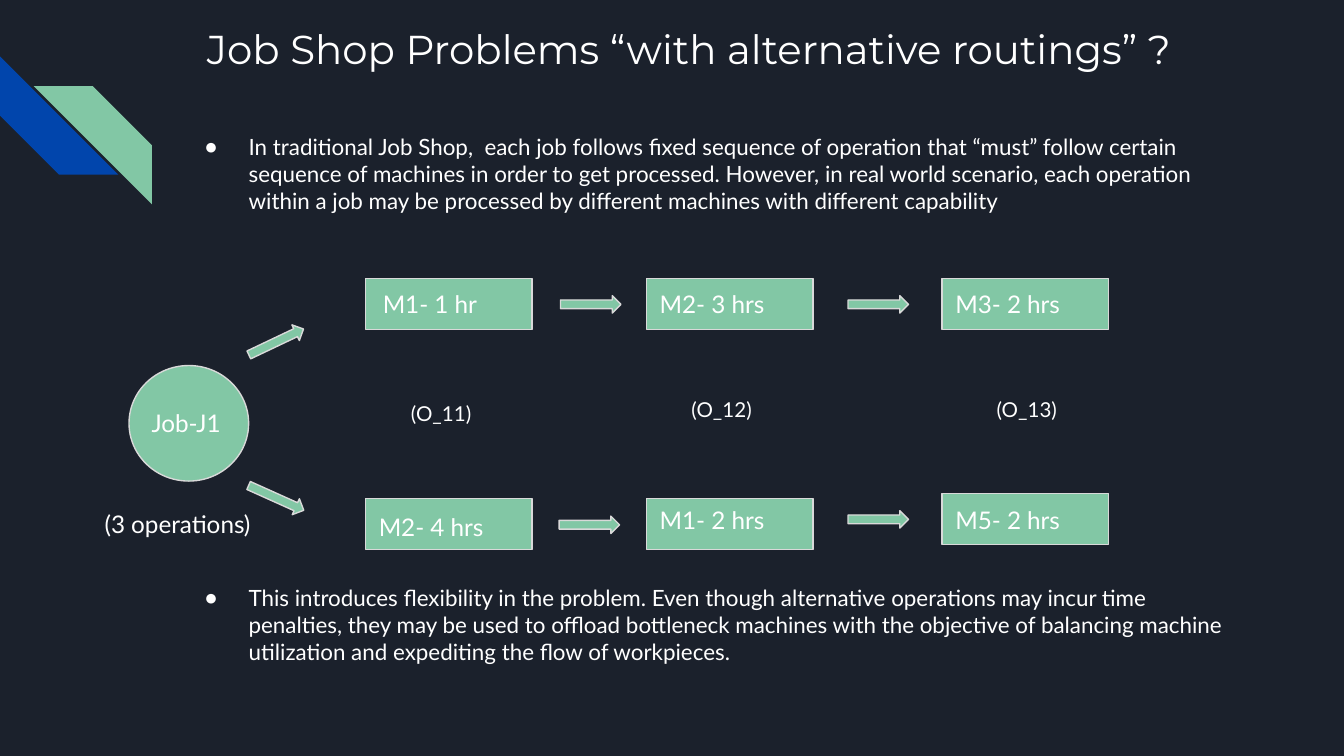
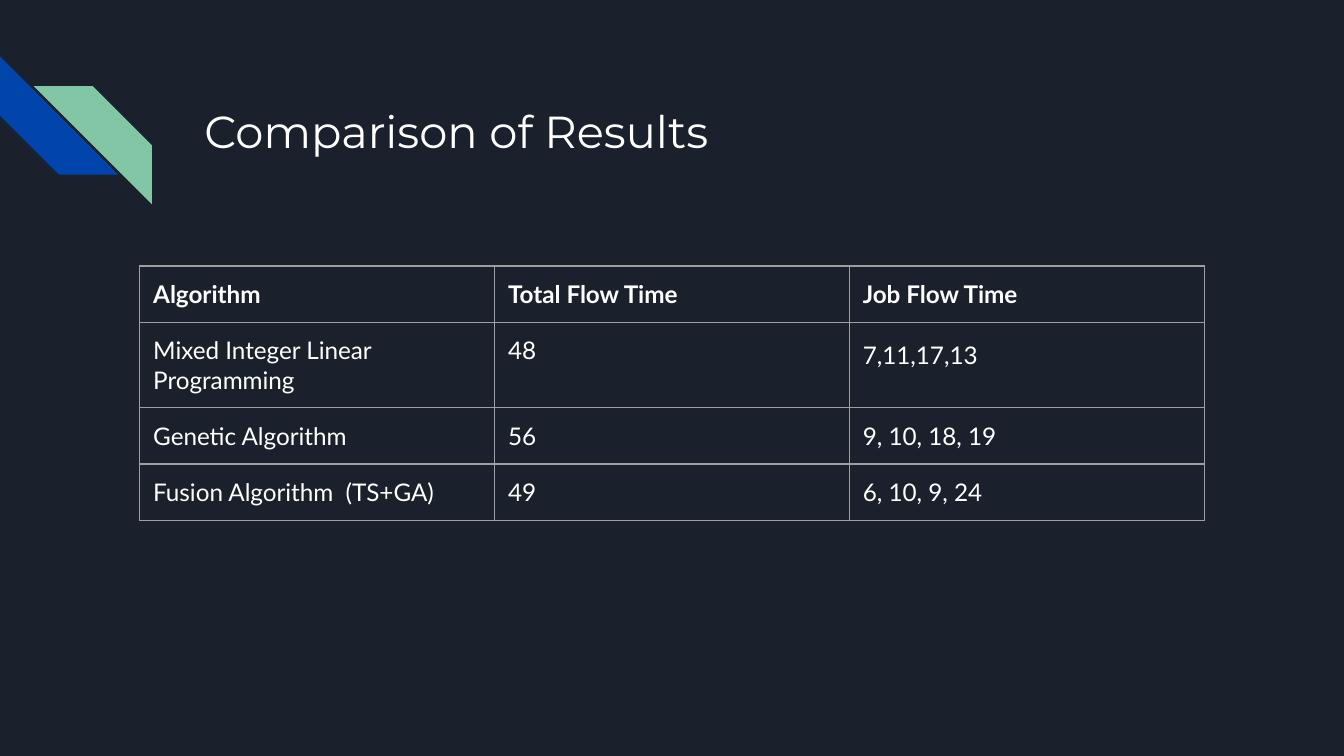
import pptx
import pptx.dml.color
import pptx.enum.shapes
import pptx.enum.text
import pptx.oxml
import pptx.oxml.ns
import pptx.util
from dataclasses import dataclass

Inches = pptx.util.Inches
Pt = pptx.util.Pt
SHAPE = pptx.enum.shapes.MSO_SHAPE
ALIGN = pptx.enum.text.PP_ALIGN
ANCHOR = pptx.enum.text.MSO_ANCHOR
FIT = pptx.enum.text.MSO_AUTO_SIZE

# Widescreen page, 16:9
PAGE_WIDTH = 10
PAGE_HEIGHT = PAGE_WIDTH * 9 / 16


@dataclass(frozen=True)
class Theme:
    background: str = "1B212C"
    text: str = "FFFFFF"
    green: str = "82C7A5"
    blue: str = "0145AC"
    outline: str = "D9D9D9"
    grid: str = "9E9E9E"
    title_font: str = "Montserrat"
    body_font: str = "Lato"
    body_size: float = 12
    label_size: float = 13
    note_size: float = 11
    line_width: float = 0.75
    inset: float = 0.1


THEME = Theme()

# Content: routing slide
ROUTING_TITLE = "Job Shop Problems “with alternative routings” ?"
ROUTING_POINTS = [
    "In traditional Job Shop,  each job follows fixed sequence of operation that “must” "
    "follow certain sequence of machines in order to get processed. However, in real world "
    "scenario, each operation within a job may be processed by different machines with "
    "different capability",
    "This introduces flexibility in the problem. Even though alternative operations may "
    "incur time penalties, they may be used to offload bottleneck machines with the "
    "objective of balancing machine utilization and expediting the flow of workpieces.",
]
DIAGRAM_GAP = 198.5  # points left between the two bullets

MACHINE_SIZE = (1.24, 0.38)
# Label, box left, box top, label left, label top
MACHINES = [
    ("M1- 1 hr", 2.72, 2.07, 2.75, 2.05),
    ("M2- 3 hrs", 4.81, 2.07, 4.81, 2.05),
    ("M3- 2 hrs", 7.01, 2.07, 7.01, 2.05),
    ("M2- 4 hrs", 2.72, 3.71, 2.72, 3.71),
    ("M1- 2 hrs", 4.81, 3.71, 4.81, 3.66),
    ("M5- 2 hrs", 7.01, 3.67, 7.01, 3.66),
]
JOB_CIRCLE = (0.96, 2.72, 0.89, 0.86)
ARROW_SIZE = (0.45, 0.13)
# Left, top, rotation
ARROWS = [
    (1.83, 2.48, 334.6), (1.83, 3.64, 24.2),
    (4.17, 2.2, 0), (4.16, 3.84, 0.1),
    (6.31, 2.2, 0), (6.31, 3.8, 0),
]
JOB_LABELS = [
    ("Job-J1", (1.03, 2.94, 0.76, 0.42)),
    ("(3 operations)", (0.68, 3.69, 1.33, 0.42)),
]
OPERATIONS = [
    ("(O_11)", (2.96, 2.89, 0.76, 0.39), ALIGN.LEFT),
    ("(O_12)", (4.75, 2.86, 1.24, 0.39), ALIGN.CENTER),
    ("(O_13)", (6, 2.86, 3.28, 0.39), ALIGN.CENTER),
]

# Content: results slide
RESULTS_TITLE = "Comparison of Results"
RESULTS = [
    ("Algorithm", "Total Flow Time", "Job Flow Time"),
    ("Mixed Integer Linear Programming", "48", "7,11,17,13"),
    ("Genetic Algorithm", "56", "9, 10, 18, 19"),
    ("Fusion Algorithm  (TS+GA)", "49", "6, 10, 9, 24"),
]
ROW_HEIGHTS = (0.42, 0.63, 0.42, 0.42)
COLUMN_WIDTH = 2.64


# Helpers
def color(value):
    return pptx.dml.color.RGBColor.from_string(value)


def place(shape, area):
    shape.left, shape.top, shape.width, shape.height = map(Inches, area)


def set_insets(holder):
    for side in ("left", "top", "right", "bottom"):
        setattr(holder, "margin_" + side, Inches(THEME.inset))


def style_text(frame, size, font=THEME.body_font, align=ALIGN.LEFT, bold=False):
    for para in frame.paragraphs:
        para.alignment = align
        for span in para.runs:
            span.font.name = font
            span.font.size = Pt(size)
            span.font.bold = bold
            span.font.color.rgb = color(THEME.text)


def prepare_frame(frame, fit):
    frame.word_wrap = True
    frame.auto_size = fit
    frame.vertical_anchor = ANCHOR.TOP
    set_insets(frame)


def add_figure(page, kind, area, fill=THEME.green, outlined=True, rotation=0):
    shape = page.shapes.add_shape(kind, *map(Inches, area))
    shape.shadow.inherit = False
    shape.rotation = rotation
    shape.fill.solid()
    shape.fill.fore_color.rgb = color(fill)
    if outlined:
        shape.line.color.rgb = color(THEME.outline)
        shape.line.width = Pt(THEME.line_width)
    else:
        shape.line.fill.background()
    return shape


def add_label(page, text, area, size=THEME.label_size, align=ALIGN.LEFT):
    box = page.shapes.add_textbox(*map(Inches, area))
    prepare_frame(box.text_frame, FIT.SHAPE_TO_FIT_TEXT)
    box.text_frame.text = text
    style_text(box.text_frame, size, align=align)


def set_title(page, text, area, size):
    title = page.shapes.title
    place(title, area)
    prepare_frame(title.text_frame, FIT.NONE)
    title.text_frame.text = text
    style_text(title.text_frame, size, THEME.title_font)


def add_bullet(para):
    properties = para._p.get_or_add_pPr()
    properties.set("marL", str(Inches(0.5)))
    properties.set("indent", str(Inches(-0.33)))
    mark = pptx.oxml.parse_xml(
        f'<a:buChar {pptx.oxml.ns.nsdecls("a")} char="●"/>')
    properties.append(mark)


def add_borders(cell):
    properties = cell._tc.get_or_add_tcPr()
    for index, side in enumerate(("lnL", "lnR", "lnT", "lnB")):
        border = pptx.oxml.parse_xml(
            f'<a:{side} {pptx.oxml.ns.nsdecls("a")} w="{Pt(THEME.line_width)}">'
            f'<a:solidFill><a:srgbClr val="{THEME.grid}"/></a:solidFill></a:{side}>')
        properties.insert(index, border)


def dress_master(deck, page):
    """Give the master the background and the two corner stripes."""
    master = deck.slide_master
    master.background.fill.solid()
    master.background.fill.fore_color.rgb = color(THEME.background)
    blue = add_figure(page, SHAPE.DIAGONAL_STRIPE, (0, 0.42, 0.88, 0.88),
                      THEME.blue, outlined=False, rotation=270)
    green = add_figure(page, SHAPE.DIAGONAL_STRIPE, (0.25, 0.64, 0.88, 0.88),
                       outlined=False)
    green.element.spPr.xfrm.set("flipH", "1")
    for index, stripe in enumerate((blue, green)):
        stripe.element.nvSpPr.cNvPr.set("id", str(20 + index))
        master.shapes.element.insert(2 + index, stripe.element)


# Slides
def build_routing(page):
    set_title(page, ROUTING_TITLE, (1.44, 0.08, 7.7, 1), 21.6)

    # Bullets above and below the diagram
    body = page.placeholders[1]
    place(body, (1.25, 0.89, 7.96, 4.38))
    prepare_frame(body.text_frame, FIT.NONE)
    body.text_frame.text = "\n".join(ROUTING_POINTS)
    style_text(body.text_frame, THEME.body_size)
    for para, gap in zip(body.text_frame.paragraphs, (0, DIAGRAM_GAP)):
        para.space_before = Pt(gap)
        add_bullet(para)

    # Job, machines and arrows
    add_figure(page, SHAPE.OVAL, JOB_CIRCLE)
    for _, left, top, _, _ in MACHINES:
        add_figure(page, SHAPE.RECTANGLE, (left, top, *MACHINE_SIZE))
    for left, top, rotation in ARROWS:
        add_figure(page, SHAPE.RIGHT_ARROW, (left, top, *ARROW_SIZE), rotation=rotation)

    # Labels
    for text, _, _, left, top in MACHINES:
        add_label(page, text, (left, top, MACHINE_SIZE[0], 0.42))
    for text, area in JOB_LABELS:
        add_label(page, text, area)
    for text, area, align in OPERATIONS:
        add_label(page, text, area, THEME.note_size, align)


def build_results(page):
    set_title(page, RESULTS_TITLE, (1.42, 0.67, 7.7, 1), 24)

    columns = len(RESULTS[0])
    area = (1.04, 1.98, columns * COLUMN_WIDTH, sum(ROW_HEIGHTS))
    table = page.shapes.add_table(len(RESULTS), columns, *map(Inches, area)).table
    table.first_row = table.horz_banding = False
    for column in table.columns:
        column.width = Inches(COLUMN_WIDTH)
    for row_index, (row, height) in enumerate(zip(RESULTS, ROW_HEIGHTS)):
        table.rows[row_index].height = Inches(height)
        for column_index, text in enumerate(row):
            cell = table.cell(row_index, column_index)
            cell.text = text
            set_insets(cell)
            style_text(cell.text_frame, THEME.label_size, bold=row_index == 0)
            cell.fill.background()
            add_borders(cell)

    # The first list of job times is set looser than the rest
    loose = table.cell(1, 2).text_frame.paragraphs[0]
    loose.line_spacing = 1.15
    loose.space_after = Pt(12)


def main():
    deck = pptx.Presentation()
    deck.slide_width, deck.slide_height = Inches(PAGE_WIDTH), Inches(PAGE_HEIGHT)
    routing = deck.slides.add_slide(deck.slide_layouts.get_by_name("Title and Content"))
    results = deck.slides.add_slide(deck.slide_layouts.get_by_name("Title Only"))
    dress_master(deck, routing)
    build_routing(routing)
    build_results(results)
    deck.save("out.pptx")


if __name__ == "__main__":
    main()
